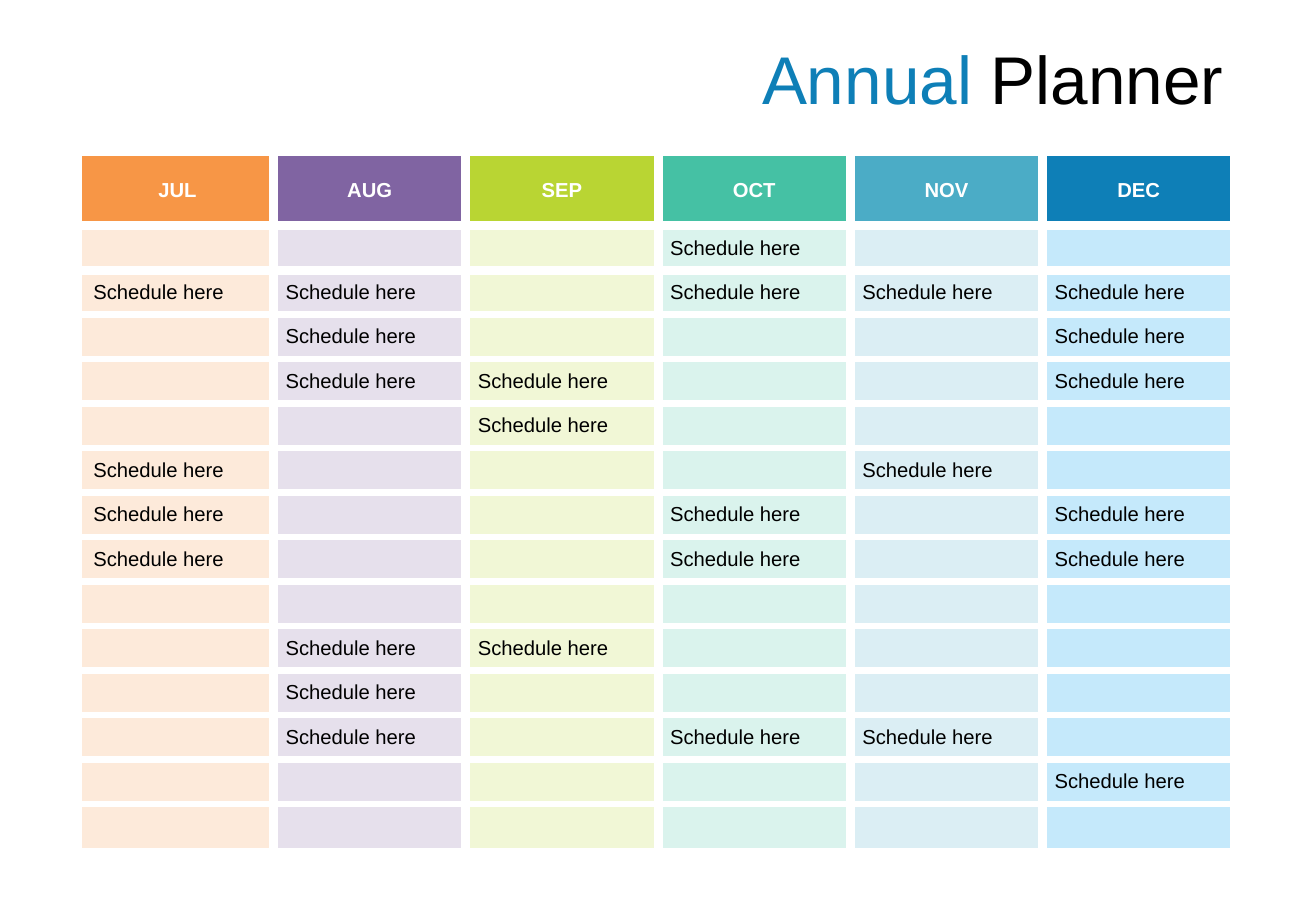
import pptx
import pptx.util
import pptx.dml.color
import pptx.enum.text
from lxml import etree

Cm, Pt = pptx.util.Cm, pptx.util.Pt
RGB = pptx.dml.color.RGBColor.from_string
ALIGN = pptx.enum.text.PP_ALIGN
MIDDLE = pptx.enum.text.MSO_ANCHOR.MIDDLE

# Content: month, head colour, body colour, rows that hold an entry
MONTHS = [
    ("JUL", "F79646", "FDEADA", (2, 6, 7, 8)),
    ("AUG", "8064A2", "E6E0EC", (2, 3, 4, 10, 11, 12)),
    ("SEP", "B9D533", "F1F7D6", (4, 5, 10)),
    ("OCT", "45C1A4", "DAF3ED", (1, 2, 7, 8, 12)),
    ("NOV", "4BACC6", "DBEEF4", (2, 6, 12)),
    ("DEC", "0E7FB7", "C5E9FB", (2, 3, 4, 7, 8, 13)),
]
ENTRY = "Schedule here"
ROWS = 14  # two rows make one block

THEME = {
    "font": "Arial", "blue": "0E7FB7", "dark": "000000", "white": "FFFFFF",
    "title": 40, "text": 12, "wide": 6, "mid": 4.5, "thin": 1,
}
TITLE = [("Annual", THEME["blue"]), (" Planner", THEME["dark"])]

# Layout
LEFT, COL = 1.7, 4.02
TOP, HEAD, ROW = 3.25, 1.47, 0.93
WIDTH = COL * len(MONTHS)
NO_STYLE = "{2D5ABB26-0587-4C30-8999-92F81FD0307C}"


def put(item, form):
    for name, val in form.items():
        setattr(item, name, val)


def write(para, text, color, size, bold=False):
    run = para.add_run()
    run.text = text
    put(run.font, {"name": THEME["font"], "size": Pt(size), "bold": bold})
    run.font.color.rgb = RGB(color)


def edge(cell, side, width):
    props = cell._tc.get_or_add_tcPr()
    line = etree.SubElement(props, pptx.oxml.ns.qn("a:ln" + side), w=str(Pt(width)))
    fill = etree.SubElement(line, pptx.oxml.ns.qn("a:solidFill"))
    etree.SubElement(fill, pptx.oxml.ns.qn("a:srgbClr"), val=THEME["white"])


def edges(row, col):
    """Line widths of a cell, in schema order; none inside a block."""
    wide, mid, thin = THEME["wide"], THEME["mid"], THEME["thin"]
    out = {"L": wide if col else thin, "R": wide}
    if row == 0:
        out.update(T=thin, B=wide)
    elif row % 2:
        out["T"] = wide if row == 1 else mid
    else:
        out["B"] = thin if row == ROWS else mid
    return out


def style(cell, row, col, fill):
    side = Cm(0.25 if row else 0)
    put(cell, {"margin_left": side, "margin_right": side, "margin_top": 0,
               "margin_bottom": 0, "vertical_anchor": MIDDLE})
    for name, width in edges(row, col).items():
        edge(cell, name, width)
    cell.fill.solid()
    cell.fill.fore_color.rgb = RGB(fill)


def add_title(slide):
    box = slide.shapes.add_textbox(Cm(LEFT), Cm(0.64), Cm(WIDTH), Cm(1.96))
    frame = box.text_frame
    put(frame, {"word_wrap": True,
                "auto_size": pptx.enum.text.MSO_AUTO_SIZE.SHAPE_TO_FIT_TEXT})
    para = frame.paragraphs[0]
    para.alignment = ALIGN.RIGHT
    for text, color in TITLE:
        write(para, text, color, THEME["title"])


def add_plan(slide):
    shape = slide.shapes.add_table(ROWS + 1, len(MONTHS), Cm(LEFT), Cm(TOP),
                                   Cm(WIDTH), Cm(HEAD + ROW * ROWS))
    table = shape.table
    put(table, {"first_row": False, "horz_banding": False})
    table._tbl.tblPr.find(pptx.oxml.ns.qn("a:tableStyleId")).text = NO_STYLE
    for row, line in enumerate(table.rows):
        line.height = Cm(ROW if row else HEAD)
    for col, (month, deep, pale, marks) in enumerate(MONTHS):
        table.columns[col].width = Cm(COL)
        for row in range(ROWS + 1):
            cell = table.cell(row, col)
            style(cell, row, col, pale if row else deep)
            para = cell.text_frame.paragraphs[0]
            if row == 0:
                para.alignment = ALIGN.CENTER
                write(para, month, THEME["white"], THEME["text"], True)
            elif row in marks:
                write(para, ENTRY, THEME["dark"], THEME["text"])


def main():
    deck = pptx.Presentation()
    put(deck, {"slide_width": Cm(27.51), "slide_height": Cm(19.05)})
    slide = deck.slides.add_slide(deck.slide_layouts[6])
    add_title(slide)
    add_plan(slide)
    deck.save("out.pptx")


if __name__ == "__main__":
    main()
